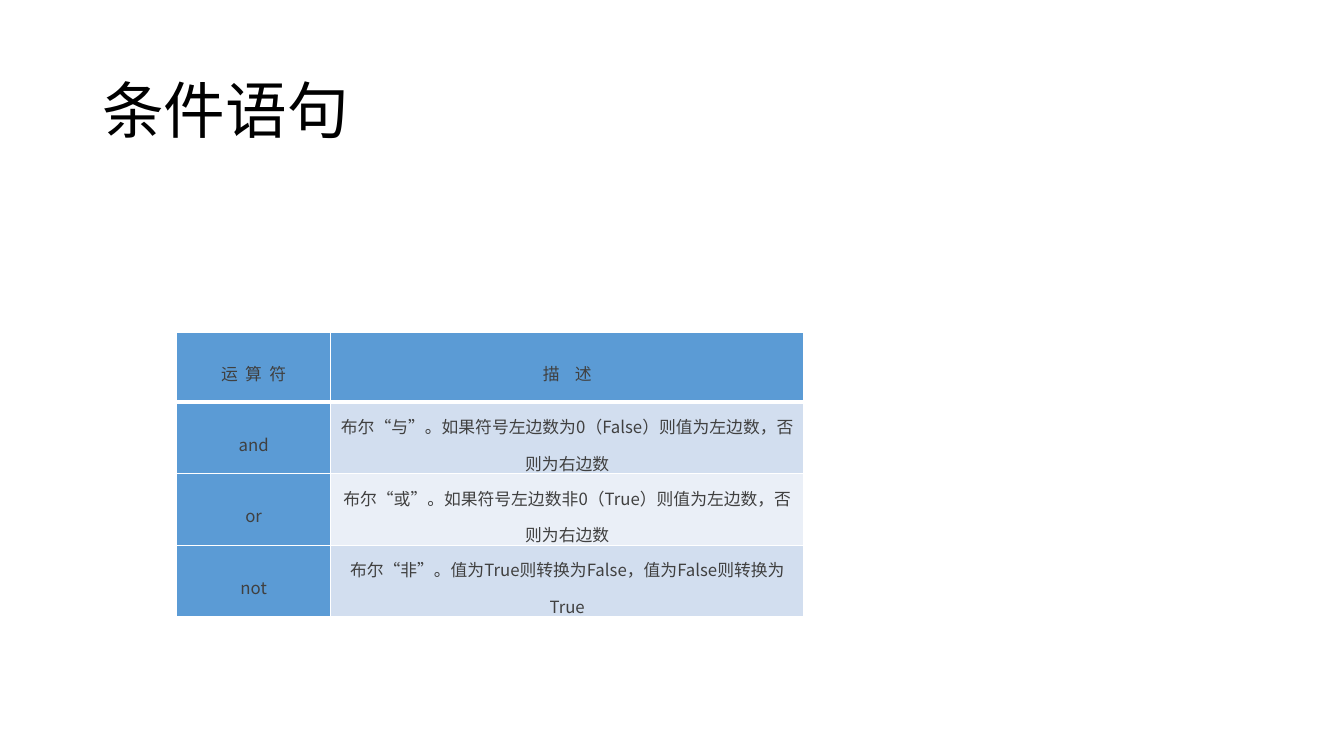
from pptx import Presentation
from pptx.dml.color import RGBColor
from pptx.enum.text import MSO_ANCHOR, PP_ALIGN
from pptx.oxml.ns import qn
from pptx.util import Pt
from lxml.etree import SubElement

COLORS = {
    "title": "000000",
    "text": "404040",
    "accent": "5B9BD5",
    "band_dark": "D2DEEF",
    "band_light": "EAEFF7",
    "border": "FFFFFF",
}
CJK_FONT = "Noto Sans CJK SC"

# Table content; tracking widens the gaps in the header words
HEADERS = [("运 算 符", 1.3), ("描 述", 4.1)]
OPERATORS = [
    ("and", "布尔“与”。如果符号左边数为0（False）则值为左边数，否则为右边数"),
    ("or", "布尔“或”。如果符号左边数非0（True）则值为左边数，否则为右边数"),
    ("not", "布尔“非”。值为True则转换为False，值为False则转换为True"),
]


def write_text(frame, text, size=12, font=CJK_FONT, color="text",
               align=PP_ALIGN.CENTER, line_spacing=1.5, tracking=0):
    para = frame.paragraphs[0]
    para.alignment = align
    para.line_spacing = line_spacing
    # The last character stays untracked so that the word is centred
    pieces = [(text[:-1], tracking), (text[-1], 0)] if tracking else [(text, 0)]
    for piece, gap in pieces:
        span = para.add_run()
        span.text = piece
        span.font.size = Pt(size)
        span.font.name = font
        span.font.color.rgb = RGBColor.from_string(COLORS[color])
        properties = span.font._element
        SubElement(properties, qn("a:ea")).set("typeface", CJK_FONT)
        if gap:
            properties.set("spc", str(round(gap * 100)))


class SlideBuilder:
    def __init__(self, page):
        self.page = page

    def title(self, text, left, top, width, height):
        box = self.page.shapes.add_textbox(Pt(left), Pt(top), Pt(width), Pt(height))
        frame = box.text_frame
        frame.word_wrap = True
        frame.vertical_anchor = MSO_ANCHOR.MIDDLE
        write_text(frame, text, size=44, font="Calibri", color="title",
                   align=PP_ALIGN.LEFT, line_spacing=0.9)

    def borders(self, cell, **widths):
        properties = cell._tc.get_or_add_tcPr()
        for side in ("L", "R", "T", "B"):
            line = SubElement(properties, qn(f"a:ln{side}"))
            line.set("w", str(Pt(widths.get(side, 1))))
            fill = SubElement(line, qn("a:solidFill"))
            SubElement(fill, qn("a:srgbClr")).set("val", COLORS["border"])

    def cell(self, cell, text, fill, border_widths, **text_format):
        cell.margin_left = cell.margin_right = Pt(5)
        cell.margin_top = cell.margin_bottom = Pt(0)
        cell.vertical_anchor = MSO_ANCHOR.MIDDLE
        self.borders(cell, **border_widths)
        cell.fill.solid()
        cell.fill.fore_color.rgb = RGBColor.from_string(COLORS[fill])
        write_text(cell.text_frame, text, **text_format)

    def operator_table(self, left, top, widths, heights):
        table = self.page.shapes.add_table(
            len(heights), len(widths), Pt(left), Pt(top),
            Pt(sum(widths)), Pt(sum(heights))).table
        table.horz_banding = False
        for column, width in zip(table.columns, widths):
            column.width = Pt(width)
        for row, height in zip(table.rows, heights):
            row.height = Pt(height)

        # Header row, set off by a thicker rule
        for column, (text, tracking) in enumerate(HEADERS):
            self.cell(table.cell(0, column), text, "accent", {"B": 3},
                      tracking=tracking)

        # Operators with banded descriptions
        for row, (operator, description) in enumerate(OPERATORS, start=1):
            band = "band_dark" if row % 2 else "band_light"
            rule = {"T": 3} if row == 1 else {}
            self.cell(table.cell(row, 0), operator, "accent", rule)
            self.cell(table.cell(row, 1), description, band, rule)


def main():
    deck = Presentation()
    deck.slide_width, deck.slide_height = Pt(960), Pt(540)
    page = deck.slides.add_slide(deck.slide_layouts[6])
    builder = SlideBuilder(page)
    builder.title("条件语句", 66, 28.75, 828, 104.4)
    builder.operator_table(126.2, 237.6, widths=[110, 338],
                           heights=[49.5] + [51.2] * len(OPERATORS))
    deck.save("out.pptx")


if __name__ == "__main__":
    main()
